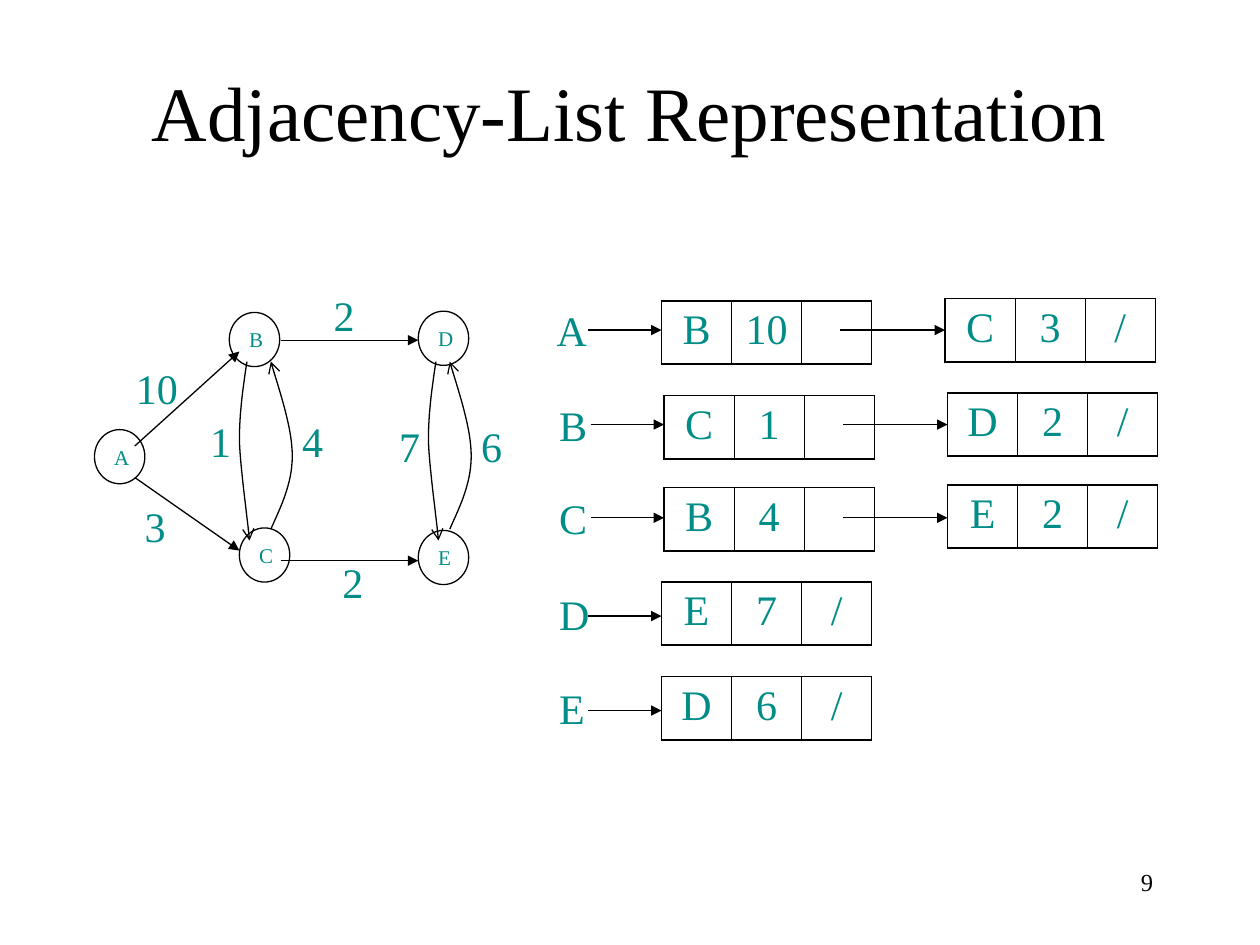
from dataclasses import dataclass

from lxml import etree
from pptx import Presentation
from pptx import util as u
from pptx.dml.color import RGBColor
from pptx.enum import shapes, text
from pptx.oxml import ns


@dataclass(frozen=True)
class Theme:
    ink: RGBColor = RGBColor(0x00, 0x00, 0x00)
    accent: RGBColor = RGBColor(0x00, 0x8C, 0x87)
    font: str = "Times New Roman"
    title: int = 44
    label: int = 24
    number: int = 14
    vertex: int = 12
    stroke: float = 0.75
    frame: float = 1.08
    divider: float = 0.45


THEME = Theme()
CENTER = text.PP_ALIGN.CENTER
NODE_W, NODE_H = 1.67, 0.5


def inches(*values):
    return [u.Inches(v) for v in values]


def apply(target, formats):
    for name, value in formats.items():
        setattr(target, name, value)


def write(frame, words, size, color, **paragraph_formats):
    paragraph = frame.paragraphs[0]
    apply(paragraph, paragraph_formats)
    run = paragraph.add_run()
    run.text = words
    apply(run.font, {"name": THEME.font, "size": u.Pt(size)})
    run.font.color.rgb = color


def add_label(parent, words, x, y, width=0.36):
    label = parent.add_textbox(*inches(x, y, width, 0.5))
    apply(label.text_frame, {"word_wrap": False,
                             "auto_size": text.MSO_AUTO_SIZE.SHAPE_TO_FIT_TEXT})
    write(label.text_frame, words, THEME.label, THEME.accent)


def stroke_line(line, head=None):
    line.color.rgb = THEME.ink
    line.width = u.Pt(THEME.stroke)
    if head:
        etree.SubElement(line._get_or_add_ln(), ns.qn("a:tailEnd"), type=head)


def add_arrow(parent, start, end):
    arrow = parent.add_connector(shapes.MSO_CONNECTOR.STRAIGHT, *inches(*start, *end))
    stroke_line(arrow.line, "triangle")
    etree.SubElement(arrow._element.spPr, ns.qn("a:effectLst"))


def bezier(p0, p1, p2, p3, steps=16):
    """Points along a cubic curve, leaving out its first point."""
    for step in range(1, steps + 1):
        t = step / steps
        s = 1 - t
        yield tuple(s**3 * a + 3 * s * s * t * b + 3 * s * t * t * c + t**3 * d
                    for a, b, c, d in zip(p0, p1, p2, p3))


def add_curve(parent, x, y, controls):
    """Arrow through two cubic curves, given as seven control points."""
    placed = [(x + dx, y + dy) for dx, dy in controls]
    builder = parent.build_freeform(*inches(*placed[0]))
    points = [*bezier(*placed[:4]), *bezier(*placed[3:])]
    builder.add_line_segments([inches(*point) for point in points], close=False)
    curve = builder.convert_to_shape()
    curve.shadow.inherit = False
    curve.fill.background()
    stroke_line(curve.line, "arrow")


def draw_title(slide, left, top, width, height):
    title = slide.shapes.title
    apply(title, dict(zip(("left", "top", "width", "height"),
                          inches(left, top, width, height))))
    title.text_frame.vertical_anchor = text.MSO_ANCHOR.MIDDLE
    write(title.text_frame, "Adjacency-List Representation", THEME.title, THEME.ink,
          alignment=CENTER)


def draw_graph(slide, left, top):
    graph = slide.shapes.add_group_shape().shapes

    # Vertices
    vertices = {"A": (0, 1.16), "B": (1.07, 0.23), "C": (1.15, 1.94),
                "D": (2.57, 0.22), "E": (2.57, 1.96)}
    for name, (x, y) in vertices.items():
        vertex = graph.add_shape(shapes.MSO_SHAPE.OVAL,
                                 *inches(left + x, top + y, 0.4, 0.43))
        vertex.shadow.inherit = False
        vertex.fill.background()
        stroke_line(vertex.line)
        vertex.text_frame.vertical_anchor = text.MSO_ANCHOR.MIDDLE
        write(vertex.text_frame, name, THEME.vertex, THEME.accent, alignment=CENTER)

    # Straight edges
    edges = [((0.32, 1.29), (1.15, 0.54)), ((0.32, 1.54), (1.15, 2.12)),
             ((1.48, 0.45), (2.57, 0.45)), ((1.48, 2.2), (2.57, 2.2))]
    for ends in edges:
        add_arrow(graph, *[(left + x, top + y) for x, y in ends])

    # Curved edge pairs B-C and D-E
    down = [(0.06, 0), (0.03, 0.2), (0, 0.4), (0, 0.63),
            (0.01, 0.87), (0.07, 1.29), (0.08, 1.42)]
    up = [(0.25, 1.33), (0.33, 1.15), (0.42, 0.97), (0.42, 0.75),
          (0.42, 0.53), (0.33, 0.27), (0.25, 0)]
    for x, up_shift in ((1.15, 0), (2.65, -0.08)):
        add_curve(graph, left + x, top + 0.62, down)
        add_curve(graph, left + x + up_shift, top + 0.62, up)

    # Weights
    weights = [("10", 0.23, 0.58), ("2", 1.8, 0), ("3", 0.3, 1.67), ("1", 0.82, 1),
               ("4", 1.55, 1), ("7", 2.32, 1.04), ("6", 2.97, 1.04), ("2", 1.87, 2.12)]
    for weight, x, y in weights:
        add_label(graph, weight, left + x, top + y, 0.53 if len(weight) > 1 else 0.36)


def add_border(cell, side, width):
    border = etree.SubElement(cell._tc.get_or_add_tcPr(), ns.qn(f"a:ln{side}"),
                              w=str(u.Pt(width)))
    fill = etree.SubElement(border, ns.qn("a:solidFill"))
    etree.SubElement(fill, ns.qn("a:srgbClr"), val=str(THEME.ink))


def draw_node(slide, left, top, fields):
    node = slide.shapes.add_table(1, 3, *inches(left, top, NODE_W, NODE_H)).table
    apply(node, {"first_row": False, "horz_banding": False})
    for column, field in enumerate(fields):
        cell = node.cell(0, column)
        left_width = THEME.divider if column else THEME.frame
        for side, width in zip("LRTB", (left_width, THEME.divider,
                                        THEME.frame, THEME.frame)):
            add_border(cell, side, width)
        cell.fill.background()
        if field:
            write(cell.text_frame, field, THEME.label, THEME.accent,
                  alignment=CENTER, space_before=u.Pt(6))


def draw_lists(slide, left, top):
    # Vertex, label place, first node place, arrow height, nodes
    rows = [
        ("A", (0, 0), (0.93, 0.02), 0.25, [("B", "10", ""), ("C", "3", "/")]),
        ("B", (0.02, 0.75), (0.95, 0.77), 1, [("C", "1", ""), ("D", "2", "/")]),
        ("C", (0.02, 1.49), (0.95, 1.5), 1.74, [("B", "4", ""), ("E", "2", "/")]),
        ("D", (0.02, 2.25), (0.93, 2.25), 2.52, [("E", "7", "/")]),
        ("E", (0.02, 3), (0.93, 3), 3.27, [("D", "6", "/")]),
    ]
    for vertex, (label_x, label_y), (node_x, node_y), arrow_y, nodes in rows:
        add_label(slide.shapes, vertex, left + label_x, top + label_y, 0.43)
        for index, fields in enumerate(nodes):
            x = left + node_x + index * 2.25
            draw_node(slide, x, top + node_y - index * 0.02, fields)
            reach = 0.83 if index else 0.58
            add_arrow(slide.shapes, (x - reach, top + arrow_y), (x, top + arrow_y))


def draw_page_number(slide, left, top, width, height):
    number = slide.shapes.add_textbox(*inches(left, top, width, height))
    number.text_frame.word_wrap = True
    write(number.text_frame, "9", THEME.number, THEME.ink,
          alignment=text.PP_ALIGN.RIGHT)


def main():
    deck = Presentation()
    apply(deck, {"slide_width": u.Inches(10), "slide_height": u.Inches(7.5)})
    slide = deck.slides.add_slide(deck.slide_layouts.get_by_name("Title Only"))
    draw_title(slide, 0.75, 0.25, 8.5, 1.25)
    draw_graph(slide, 0.75, 2.25)
    draw_lists(slide, 4.32, 2.37)
    draw_page_number(slide, 7.17, 6.83, 2.08, 0.5)
    deck.save("out.pptx")


if __name__ == "__main__":
    main()
